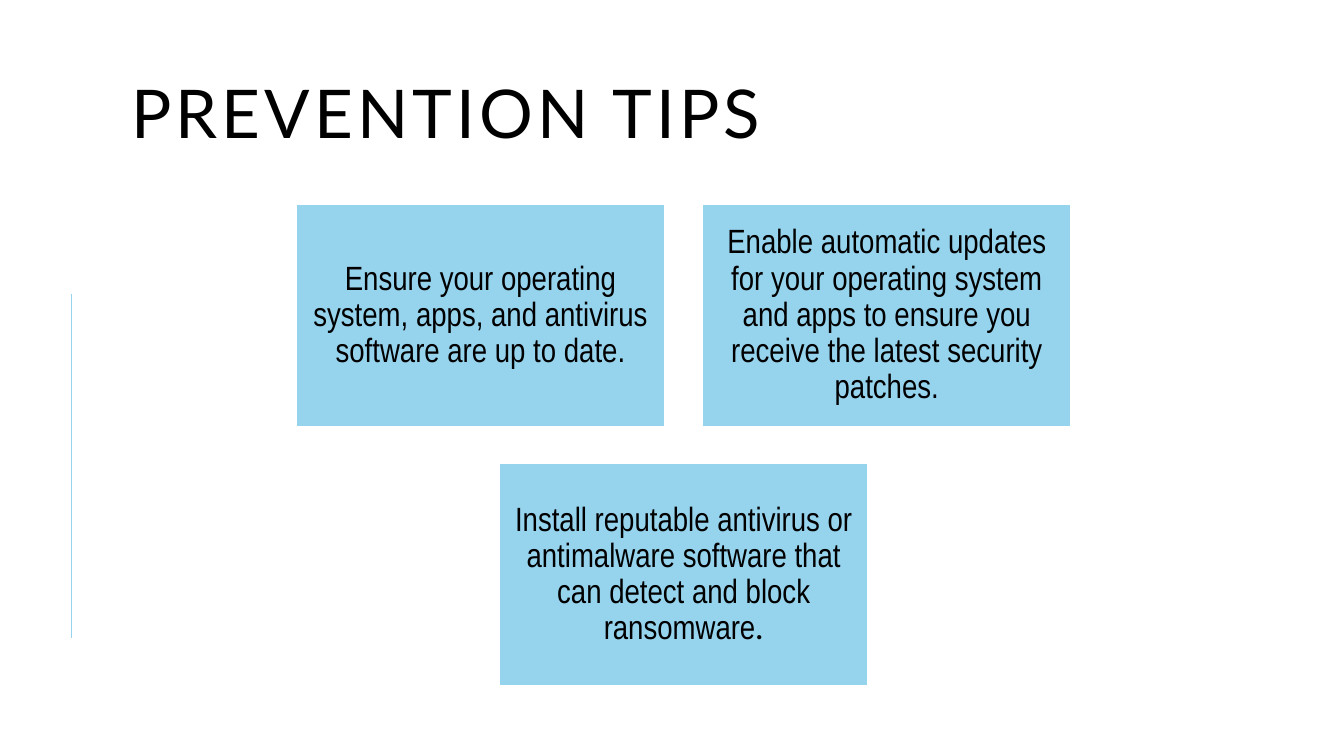
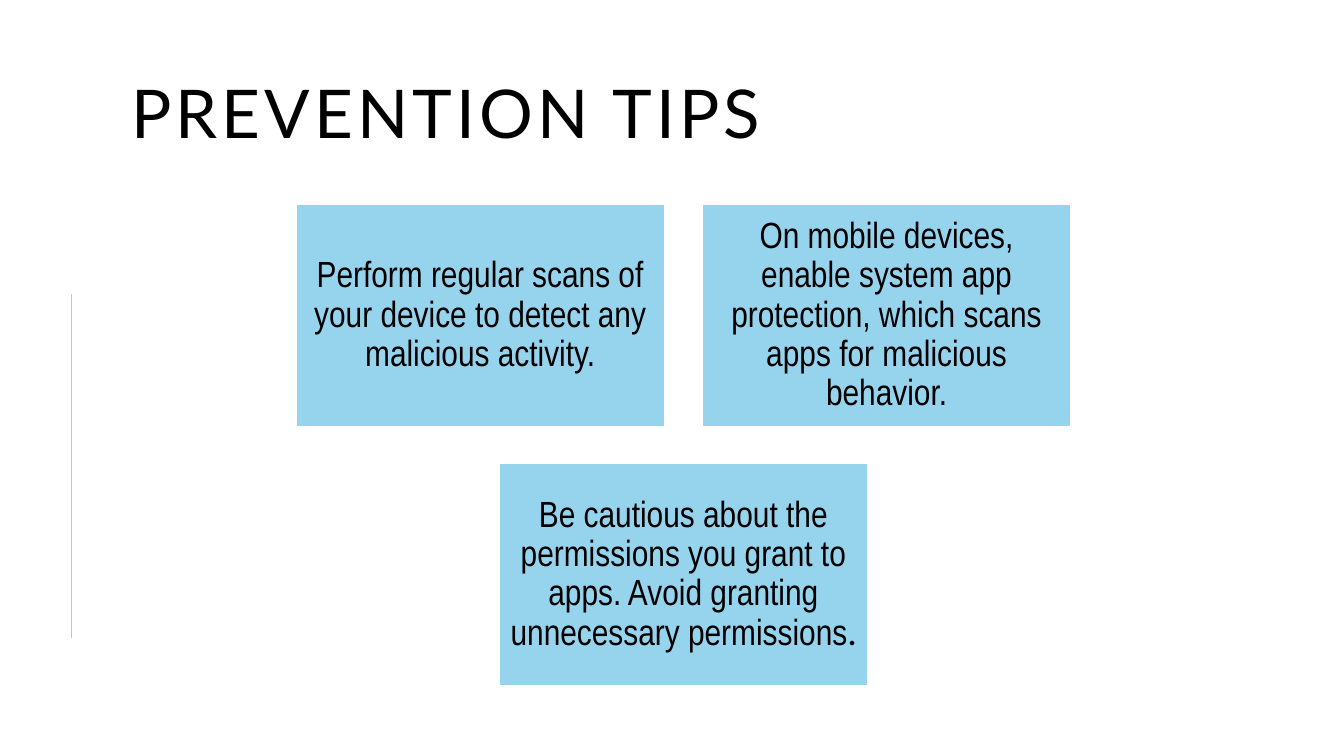
import pptx
import pptx.dml.color
import pptx.enum.shapes
import pptx.enum.text
import pptx.oxml
import pptx.util

Inches, Pt = pptx.util.Inches, pptx.util.Pt
Align, Anchor = pptx.enum.text.PP_ALIGN, pptx.enum.text.MSO_ANCHOR

TITLE = "PREVENTION TIPS"
SLIDES = [
    {"size": 24, "rows": [
        [["Ensure your operating system, apps, and antivirus software are up to date."],
         ["Enable automatic updates for your operating system and apps to ensure you "
          "receive the latest security patches."]],
        [["Install reputable antivirus or antimalware software that can detect and "
          "block ransomware", "."]],
    ]},
    {"size": 26, "rows": [
        [["Perform regular scans of your device to detect any malicious activity."],
         ["On mobile devices, enable system app protection, which scans apps for "
          "malicious behavior."]],
        [["Be cautious about the permissions you grant to apps. Avoid granting "
          "unnecessary permissions", "."]],
    ]},
]

THEME = {
    "ink": "000000", "paper": "FFFFFF", "sky": "96D3ED",
    "head": "Lato", "body": "Arial Narrow",
    "title": 48, "track": 3, "lead": 0.9, "rule": 1,
}
CARD = {"mid": 6.78, "top": 2.03, "wide": 3.66, "high": 2.2, "gap": 0.37}


def color(name):
    return pptx.dml.color.RGBColor.from_string(THEME[name])


def write(shape, parts, *, size, fonts, align=Align.LEFT, inset=0, track=0):
    frame = shape.text_frame
    frame.word_wrap = True
    frame.vertical_anchor = Anchor.MIDDLE
    frame.margin_left = frame.margin_right = inset
    frame.margin_top = frame.margin_bottom = inset
    para = frame.paragraphs[0]
    para.alignment = align
    para.line_spacing = THEME["lead"]
    for part, font in zip(parts, fonts):
        run = para.add_run()
        run.text = part
        run.font.size = Pt(size)
        run.font.name = THEME[font]
        run.font.color.rgb = color("ink")
        if track:
            run.font._element.set("spc", str(track * 100))


def frame_slide(slide):
    line = slide.shapes.add_connector(
        pptx.enum.shapes.MSO_CONNECTOR.STRAIGHT,
        Inches(0.71), Inches(2.92), Inches(0.71), Inches(6.33))
    line.line.color.rgb = color("sky")
    line.line.width = Pt(THEME["rule"])
    props = line._element.spPr
    props.append(props.makeelement(pptx.oxml.ns.qn("a:effectLst"), {}))
    box = slide.shapes.add_textbox(Inches(1.3), Inches(0.66), Inches(11), Inches(1))
    write(box, [TITLE], size=THEME["title"], fonts=["head"], track=THEME["track"])


def add_card(slide, left, top, parts, size):
    card = slide.shapes.add_shape(
        pptx.enum.shapes.MSO_SHAPE.RECTANGLE,
        Inches(left), Inches(top), Inches(CARD["wide"]), Inches(CARD["high"]))
    card.shadow.inherit = False
    card.fill.solid()
    card.fill.fore_color.rgb = color("sky")
    card.line.color.rgb = color("paper")
    card.line.width = Pt(THEME["rule"])
    write(card, parts, size=size, fonts=["body", "head"],
          align=Align.CENTER, inset=Pt(size * 0.3))


def add_grid(slide, rows, size):
    step = CARD["wide"] + CARD["gap"]
    for i, row in enumerate(rows):
        start = CARD["mid"] - (len(row) * step - CARD["gap"]) / 2
        top = CARD["top"] + i * (CARD["high"] + CARD["gap"])
        for j, parts in enumerate(row):
            add_card(slide, start + j * step, top, parts, size)


def main():
    deck = pptx.Presentation()
    deck.slide_width, deck.slide_height = Inches(13.33), Inches(7.5)
    for page in SLIDES:
        slide = deck.slides.add_slide(deck.slide_layouts[6])
        frame_slide(slide)
        add_grid(slide, page["rows"], page["size"])
    deck.save("out.pptx")


if __name__ == "__main__":
    main()
